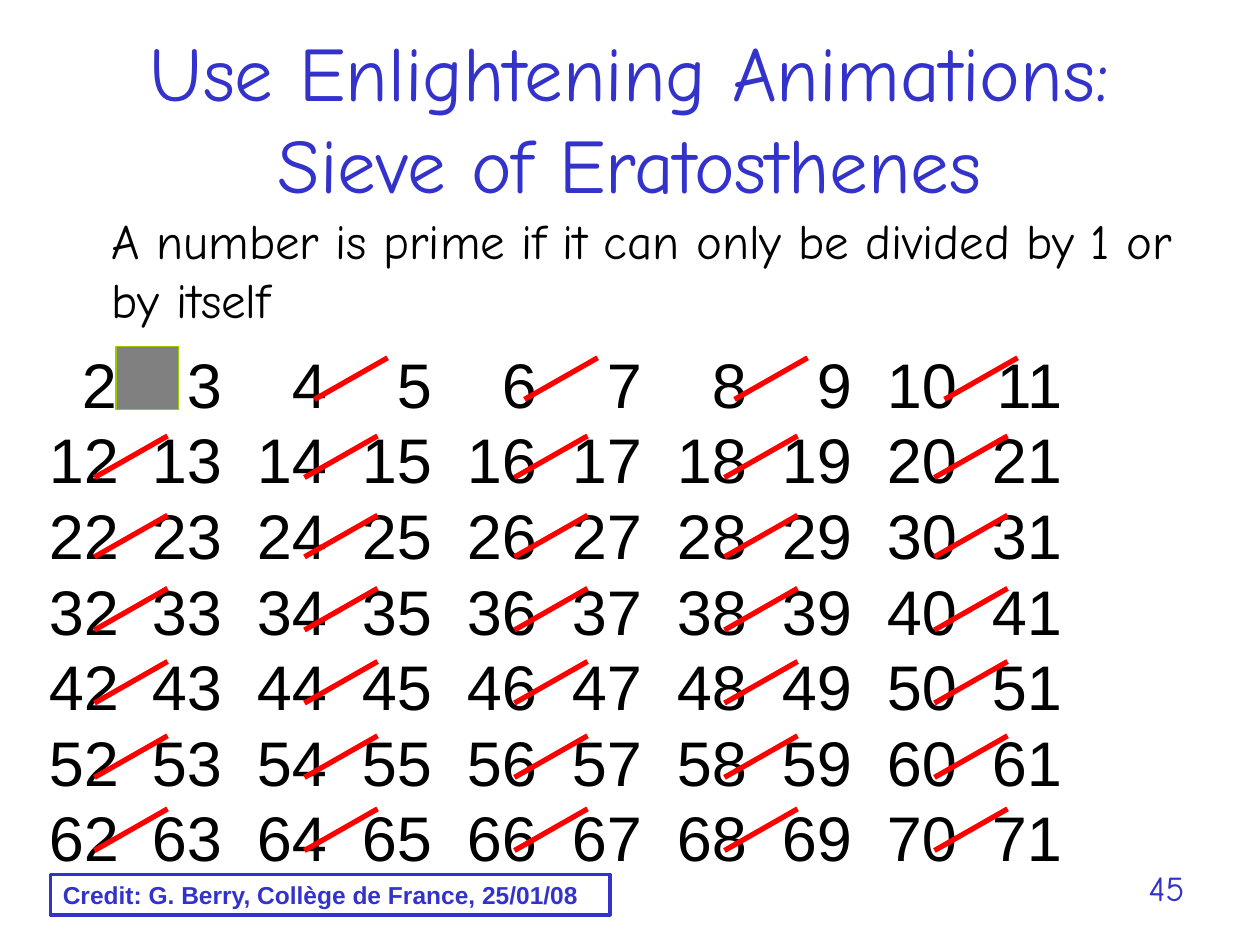
import pptx
import pptx.util
import pptx.dml.color
import pptx.enum.shapes
import pptx.enum.text
import pptx.oxml.ns
from lxml import etree

Inches = pptx.util.Inches
Pt = pptx.util.Pt
RGBColor = pptx.dml.color.RGBColor
Align = pptx.enum.text.PP_ALIGN
Anchor = pptx.enum.text.MSO_ANCHOR
qn = pptx.oxml.ns.qn

BLUE = RGBColor(0x33, 0x33, 0xCC)
BLACK = RGBColor(0, 0, 0)
RED = RGBColor(0xFF, 0, 0)
GRAY = RGBColor(0x80, 0x80, 0x80)
GREEN = RGBColor(0x99, 0xCC, 0)
HAND, SANS = "Comic Neue", "Arial"

TITLE = "Use Enlightening Animations: Sieve of Eratosthenes"
DEFINITION = "A number is prime if it can only be divided by 1 or by itself"
CREDIT = "Credit: G. Berry, Collège de France, 25/01/08"
PAGE_NUMBER = "45"

COLUMNS = 10
NUMBER_ROWS = [range(first, first + COLUMNS) for first in range(2, 72, COLUMNS)]
NUMBER_PITCH = 5 / 6
FIRST_NUMBER_EDGE = 0.54
STRIKE_BOTTOMS = [3.17, 3.79, 4.42, 5, 5.58, 6.17, 6.75]
STRIKE_WIDTH, STRIKE_HEIGHT = 0.58, 0.33


def write(shape, lines, size, font, color, bold=False, align=Align.LEFT, anchor=Anchor.TOP):
    frame = shape.text_frame
    frame.word_wrap = True
    frame.vertical_anchor = anchor
    frame.text = "\n".join(lines)
    for para in frame.paragraphs:
        para.alignment = align
        for span in para.runs:
            span.font.size = Pt(size)
            span.font.name = font
            span.font.bold = bold
            span.font.color.rgb = color
    return frame


def add_box(page, place):
    return page.shapes.add_textbox(*map(Inches, place))


def add_rectangle(page, place, line_color, line_width, fill=None):
    shape = page.shapes.add_shape(pptx.enum.shapes.MSO_SHAPE.RECTANGLE, *map(Inches, place))
    shape.shadow.inherit = False
    if fill is None:
        shape.fill.background()
    else:
        shape.fill.solid()
        shape.fill.fore_color.rgb = fill
    shape.line.color.rgb = line_color
    shape.line.width = Pt(line_width)
    return shape


def add_numbers(page):
    box = add_box(page, (0.29, 2.67, 9.29, 4.9))
    lines = ["".join(f"\t{number}" for number in row) for row in NUMBER_ROWS]
    frame = write(box, lines, 36, SANS, BLACK)
    frame.margin_top = Inches(0.07)
    for para in frame.paragraphs:
        para.line_spacing = Pt(43.2)
        stops = etree.SubElement(para._p.get_or_add_pPr(), qn("a:tabLst"))
        for column in range(COLUMNS):
            edge = Inches(FIRST_NUMBER_EDGE + column * NUMBER_PITCH)
            etree.SubElement(stops, qn("a:tab"), pos=str(edge), algn="r")


def add_strike(page, left, bottom):
    line = page.shapes.add_connector(
        pptx.enum.shapes.MSO_CONNECTOR.STRAIGHT, Inches(left), Inches(bottom),
        Inches(left + STRIKE_WIDTH), Inches(bottom - STRIKE_HEIGHT))
    line.line.color.rgb = RED
    line.line.width = Pt(3)
    etree.SubElement(line._element.spPr, qn("a:effectLst"))


def add_strikes(page):
    for row, bottom in zip(NUMBER_ROWS, STRIKE_BOTTOMS):
        start = 0.83 if 2 in row else 0.75
        for column, number in enumerate(row):
            if number % 2 == 0 and number > 2:
                add_strike(page, start + column * NUMBER_PITCH, bottom)


def main():
    deck = pptx.Presentation()
    deck.slide_width, deck.slide_height = Inches(10), Inches(7.5)
    page = deck.slides.add_slide(deck.slide_layouts[6])

    credit = add_rectangle(page, (0.4, 6.94, 4.44, 0.32), BLUE, 2)
    write(credit, [CREDIT], 14, SANS, BLUE, bold=True, anchor=Anchor.MIDDLE)
    write(add_box(page, (8.5, 6.83, 1, 0.52)), [PAGE_NUMBER], 20, HAND, BLUE, align=Align.RIGHT)
    add_rectangle(page, (0.92, 2.75, 0.5, 0.5), GREEN, 0.75, GRAY)
    add_numbers(page)
    write(add_box(page, (0.5, 0.3, 9, 1.25)), [TITLE], 44, HAND, BLUE,
          align=Align.CENTER, anchor=Anchor.MIDDLE)
    write(add_box(page, (0.79, 1.62, 8.78, 1.04)), [DEFINITION], 28, HAND, BLACK)
    add_strikes(page)
    deck.save("out.pptx")


if __name__ == "__main__":
    main()
